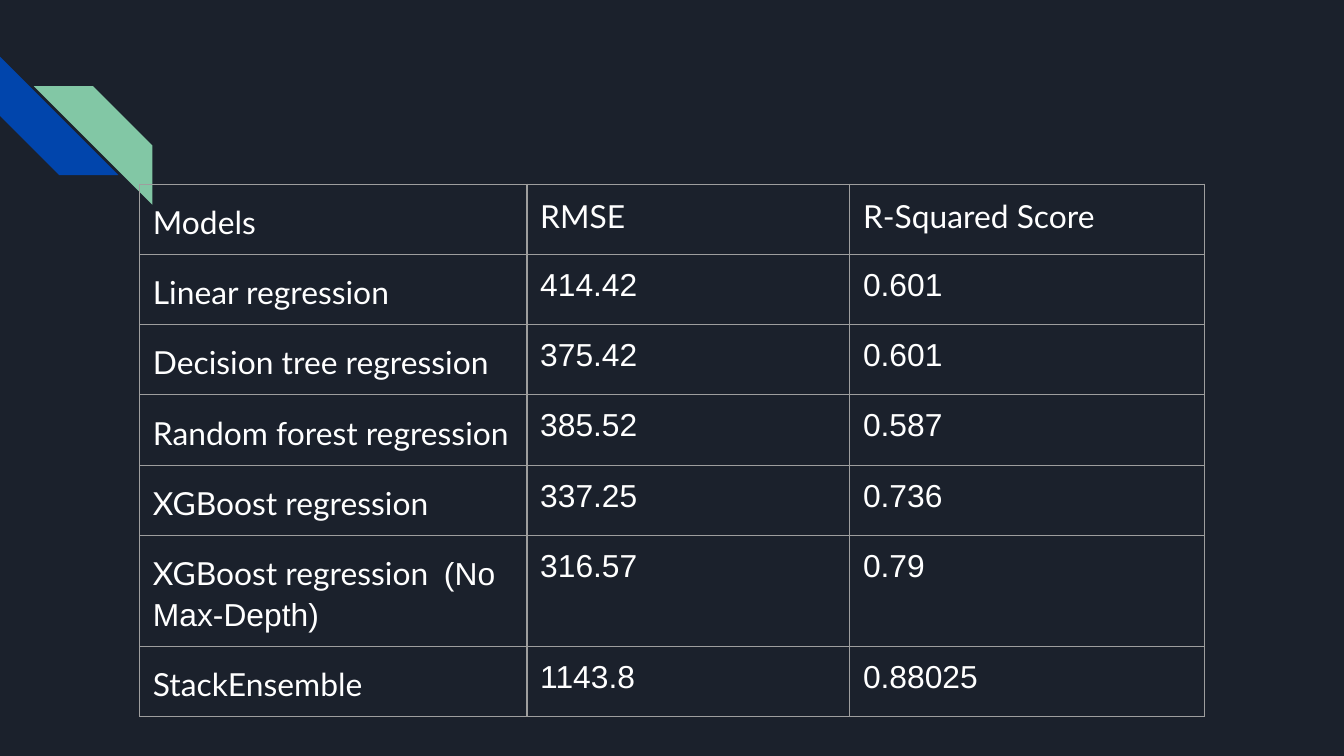
from dataclasses import dataclass
from typing import NamedTuple

from lxml.etree import SubElement
from pptx import Presentation
from pptx.dml.color import RGBColor
from pptx.enum.shapes import MSO_SHAPE as Preset
from pptx.oxml.ns import qn
from pptx.util import Cm, Pt


@dataclass(frozen=True)
class Theme:
    """Colours, fonts and sizes of the slide."""
    background: str = "1B212C"
    blue: str = "0145AC"
    green: str = "82C7A5"
    text: str = "FFFFFF"
    border: str = "9E9E9E"
    label_font: str = "Lato"
    value_font: str = "Arial"
    text_size: float = 17
    gap_size: float = 14
    border_width: float = 0.75


class Stripe(NamedTuple):
    """A diagonal corner stripe, placed in centimetres."""
    left: float
    top: float
    rotation: int
    colour: str


class Span(NamedTuple):
    """A piece of text with its font and size."""
    text: str
    font: str
    size: float = Theme.text_size


class Score(NamedTuple):
    """One model and its results."""
    model: list[Span]
    rmse: str
    r_squared: str


THEME = Theme()
STRIPE_SIZE = 2.24
STRIPES = [
    Stripe(0, 1.07, 270, THEME.blue),
    Stripe(0.64, 1.63, 90, THEME.green),
]
TABLE_LEFT, TABLE_TOP = 2.64, 3.48
COLUMN_WIDTHS = [7.32, 6.1, 6.71]
ROW_HEIGHT = 1.07
CELL_MARGIN = 0.25


def label(text: str) -> list[Span]:
    """Return text in the label font."""
    return [Span(text, THEME.label_font)]


def value(text: str) -> list[Span]:
    """Return text in the value font."""
    return [Span(text, THEME.value_font)]


HEADINGS = ["Models", "RMSE", "R-Squared Score"]
SCORES = [
    Score(label("Linear regression"), "414.42", "0.601"),
    Score(label("Decision tree regression"), "375.42", "0.601"),
    Score(label("Random forest regression"), "385.52", "0.587"),
    Score(label("XGBoost regression"), "337.25", "0.736"),
    Score(
        label("XGBoost regression ")
        + [Span(" ", THEME.value_font, THEME.gap_size)]
        + value("(No Max-Depth)"),
        "316.57", "0.79",
    ),
    Score(label("StackEnsemble"), "1143.8", "0.88025"),
]


def draw_stripe(page, stripe: Stripe) -> None:
    """Draw one corner stripe."""
    shape = page.shapes.add_shape(
        Preset.DIAGONAL_STRIPE, Cm(stripe.left), Cm(stripe.top),
        Cm(STRIPE_SIZE), Cm(STRIPE_SIZE))
    shape.rotation = stripe.rotation
    shape.shadow.inherit = False
    shape.fill.solid()
    shape.fill.fore_color.rgb = RGBColor.from_string(stripe.colour)
    shape.line.fill.background()


def draw_borders(cell) -> None:
    """Give a cell the same thin line on all four sides."""
    properties = cell._tc.get_or_add_tcPr()
    for side in ("lnL", "lnR", "lnT", "lnB"):
        line = SubElement(properties, qn(f"a:{side}"), w=str(Pt(THEME.border_width)))
        fill = SubElement(line, qn("a:solidFill"))
        SubElement(fill, qn("a:srgbClr"), val=THEME.border)


def fill_cell(cell, spans: list[Span], is_model: bool) -> None:
    """Write the spans into a cell and format it."""
    draw_borders(cell)
    cell.fill.background()
    cell.margin_left = cell.margin_right = Cm(CELL_MARGIN)
    cell.margin_top = cell.margin_bottom = Cm(CELL_MARGIN)
    para = cell.text_frame.paragraphs[0]
    if is_model:
        para.line_spacing = 1.15
        para.space_after = Pt(12)
    for span in spans:
        run = para.add_run()
        run.text = span.text
        run.font.name = span.font
        run.font.size = Pt(span.size)
        run.font.color.rgb = RGBColor.from_string(THEME.text)


def draw_table(page) -> None:
    """Draw the table of model scores."""
    rows = [[label(heading) for heading in HEADINGS]]
    rows += [[score.model, value(score.rmse), value(score.r_squared)]
             for score in SCORES]
    table = page.shapes.add_table(
        len(rows), len(HEADINGS), Cm(TABLE_LEFT), Cm(TABLE_TOP),
        Cm(sum(COLUMN_WIDTHS)), Cm(ROW_HEIGHT * len(rows))).table
    table.first_row = False
    table.horz_banding = False
    for column, width in zip(table.columns, COLUMN_WIDTHS):
        column.width = Cm(width)
    for row, contents in zip(table.rows, rows):
        row.height = Cm(ROW_HEIGHT)
        for index, spans in enumerate(contents):
            fill_cell(row.cells[index], spans, is_model=index == 0)


def main() -> None:
    """Build and save the slide."""
    deck = Presentation()
    deck.slide_width, deck.slide_height = Cm(25.4), Cm(14.29)
    blank_layout = deck.slide_layouts[6]
    page = deck.slides.add_slide(blank_layout)
    page.background.fill.solid()
    page.background.fill.fore_color.rgb = RGBColor.from_string(THEME.background)
    for stripe in STRIPES:
        draw_stripe(page, stripe)
    draw_table(page)
    deck.save("out.pptx")


main()
